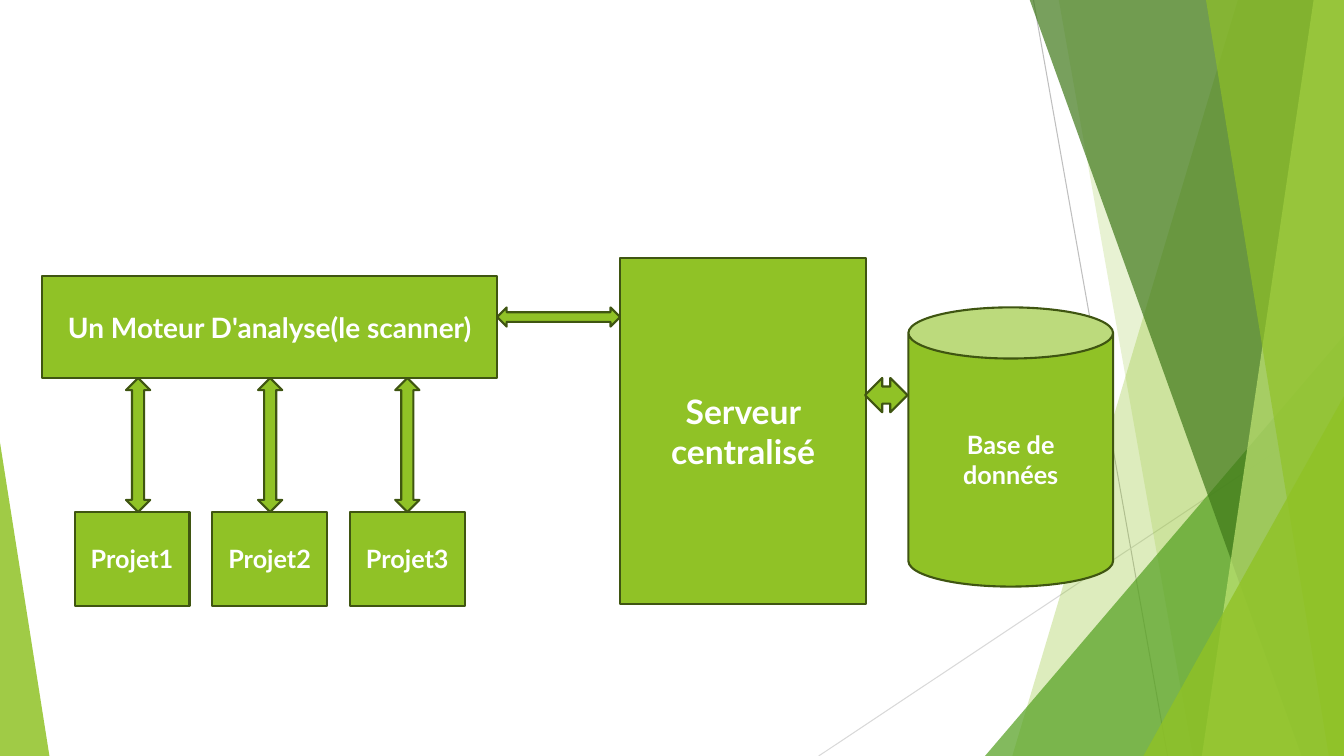
from lxml import etree
from pptx import Presentation
from pptx.dml.color import RGBColor
from pptx.enum.shapes import MSO_CONNECTOR, MSO_SHAPE
from pptx.enum.text import MSO_ANCHOR, PP_ALIGN
from pptx.oxml.ns import qn
from pptx.util import Inches, Pt

RECT = MSO_SHAPE.RECTANGLE
CAN = MSO_SHAPE.CAN
TRIANGLE = MSO_SHAPE.ISOSCELES_TRIANGLE
UP_DOWN = MSO_SHAPE.UP_DOWN_ARROW
LEFT_RIGHT = MSO_SHAPE.LEFT_RIGHT_ARROW
STRAIGHT = MSO_CONNECTOR.STRAIGHT
MIDDLE = MSO_ANCHOR.MIDDLE
CENTER = PP_ALIGN.CENTER

FONT = "Lato"
GREEN, OUTLINE, WHITE = "90C226", "3F5511", "FFFFFF"
TOP, RIGHT, BOTTOM = -0.01, 13.33, 7.5


def rgb(color):
    return RGBColor.from_string(color)


def paint(s, color, alpha=100):
    """Fill a shape without outline or shadow; alpha is a percentage."""
    s.shadow.inherit = False
    s.fill.solid()
    s.fill.fore_color.rgb = rgb(color)
    s.line.fill.background()
    if alpha < 100:
        clr = s.fill._xPr.find(qn("a:solidFill"))[0]
        etree.SubElement(clr, qn("a:alpha"), val=str(alpha * 1000))


def add_thin_line(slide, x1, y1, x2, y2, color):
    c = slide.shapes.add_connector(
        STRAIGHT, Inches(x1), Inches(y1), Inches(x2), Inches(y2))
    c.line.color.rgb = rgb(color)
    c.line.width = Pt(0.75)
    etree.SubElement(c._element.spPr, qn("a:effectLst"))


def add_band(slide, top_x, bottom_x, color, alpha):
    """Full-height band between a slanted left edge and the slide's right edge."""
    fb = slide.shapes.build_freeform(Inches(top_x), Inches(TOP))
    corners = [(RIGHT, TOP), (RIGHT, BOTTOM), (bottom_x, BOTTOM)]
    fb.add_line_segments([(Inches(x), Inches(y)) for x, y in corners], close=True)
    paint(fb.convert_to_shape(), color, alpha)


def add_corner(slide, x, y, w, apex, color, alpha):
    """Triangle standing on the bottom edge; apex 0 is left, 1 is right."""
    s = slide.shapes.add_shape(
        TRIANGLE, Inches(x), Inches(y), Inches(w), Inches(BOTTOM - y))
    s.adjustments[0] = apex
    paint(s, color, alpha)


def add_block(slide, kind, x, y, w, h, text="", size=18):
    s = slide.shapes.add_shape(kind, Inches(x), Inches(y), Inches(w), Inches(h))
    paint(s, GREEN)
    s.line.color.rgb = rgb(OUTLINE)
    s.line.width = Pt(1.5)
    if text:
        tf = s.text_frame
        tf.word_wrap = True
        tf.vertical_anchor = MIDDLE
        p = tf.paragraphs[0]
        p.alignment = CENTER
        r = p.add_run()
        r.text = text
        r.font.name = FONT
        r.font.size = Pt(size)
        r.font.bold = True
        r.font.color.rgb = rgb(WHITE)


def add_background(slide):
    add_thin_line(slide, 10.25, 0, 11.58, BOTTOM, "BFBFBF")
    add_thin_line(slide, RIGHT, 4.03, 8.12, BOTTOM, "D9D9D9")
    add_band(slide, 12.28, 10.04, GREEN, 30)
    add_band(slide, 10.5, 11.83, GREEN, 20)
    add_corner(slide, 9.77, 3.33, 3.56, 1, "54A021", 72)
    add_band(slide, 10.21, 12.91, "3F7819", 70)
    add_band(slide, 13.03, 11.92, "C0E474", 70)
    add_band(slide, 11.96, 13.18, GREEN, 65)
    add_corner(slide, 11.34, 3.93, 1.99, 1, GREEN, 80)
    add_corner(slide, 0, 4.39, 0.49, 0, GREEN, 85)


def main():
    prs = Presentation()
    prs.slide_width, prs.slide_height = Inches(13.33), Inches(7.5)
    slide = prs.slides.add_slide(prs.slide_layouts[6])
    add_background(slide)

    # Scanner and the projects it analyses
    add_block(slide, RECT, 0.42, 2.74, 4.51, 1.01,
              "Un Moteur D'analyse(le scanner)", 20)
    for i, arrow_x in enumerate([1.25, 2.56, 3.92]):
        add_block(slide, UP_DOWN, arrow_x, 3.75, 0.24, 1.33)
        add_block(slide, RECT, 0.74 + 1.365 * i, 5.08, 1.14, 0.93,
                  f"Projet{i + 1}")

    # Server and database
    add_block(slide, LEFT_RIGHT, 4.93, 3.05, 1.22, 0.19)
    add_block(slide, RECT, 6.15, 2.56, 2.44, 3.43, "Serveur centralisé", 24)
    add_block(slide, LEFT_RIGHT, 8.58, 3.75, 0.42, 0.34)
    add_block(slide, CAN, 9.01, 3.05, 2.03, 2.77, "Base de données")

    prs.save("out.pptx")


if __name__ == "__main__":
    main()
